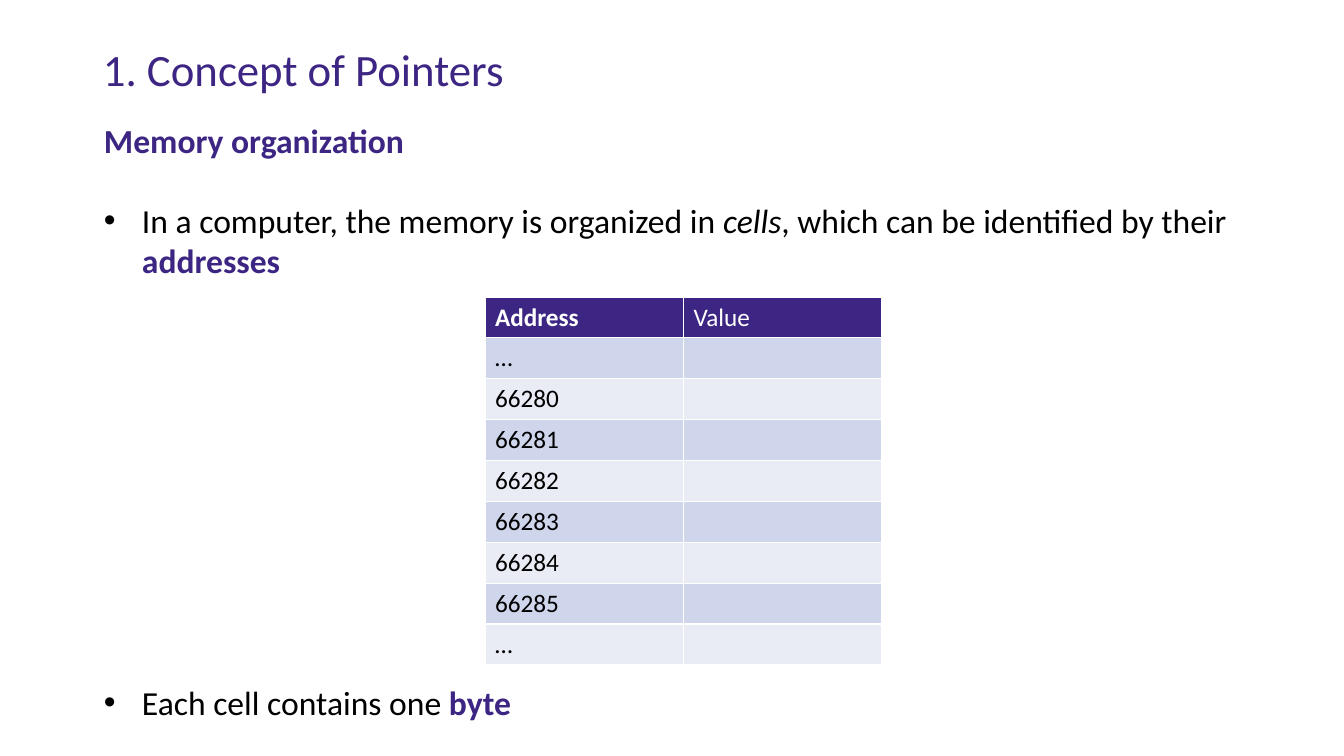
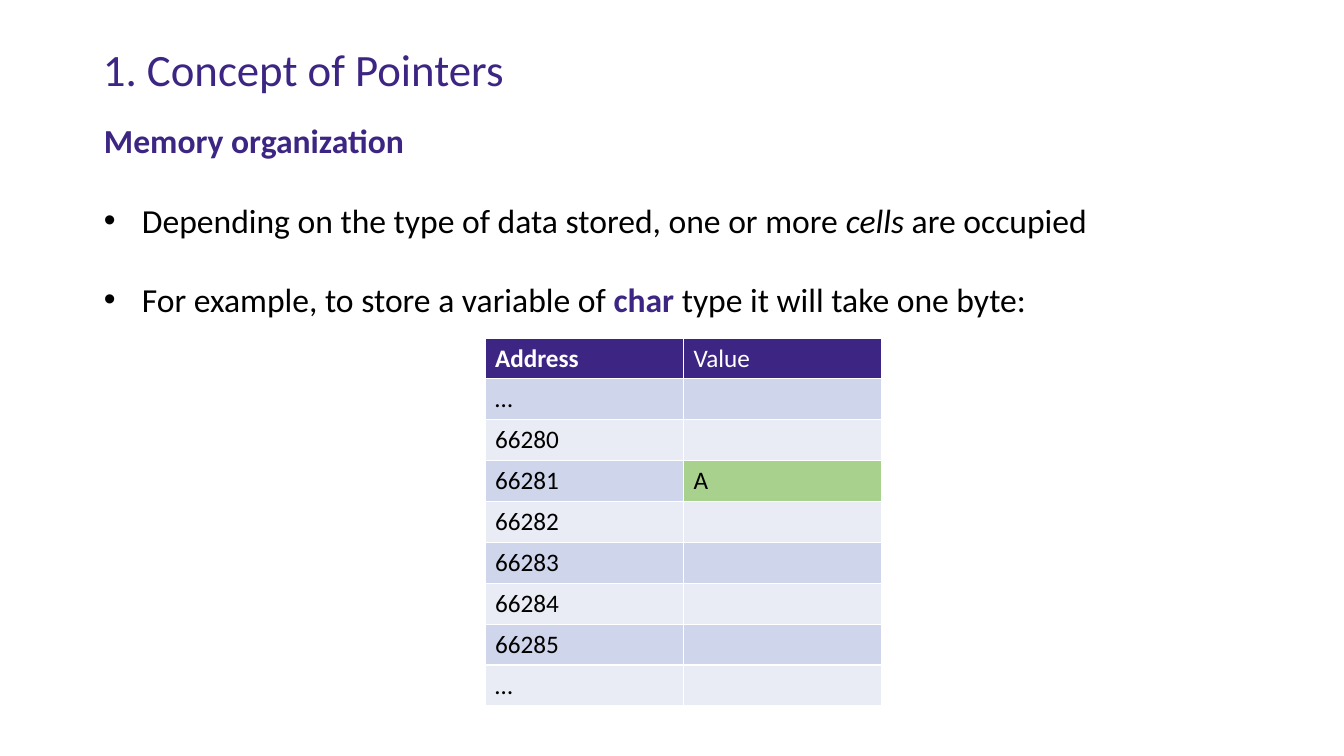
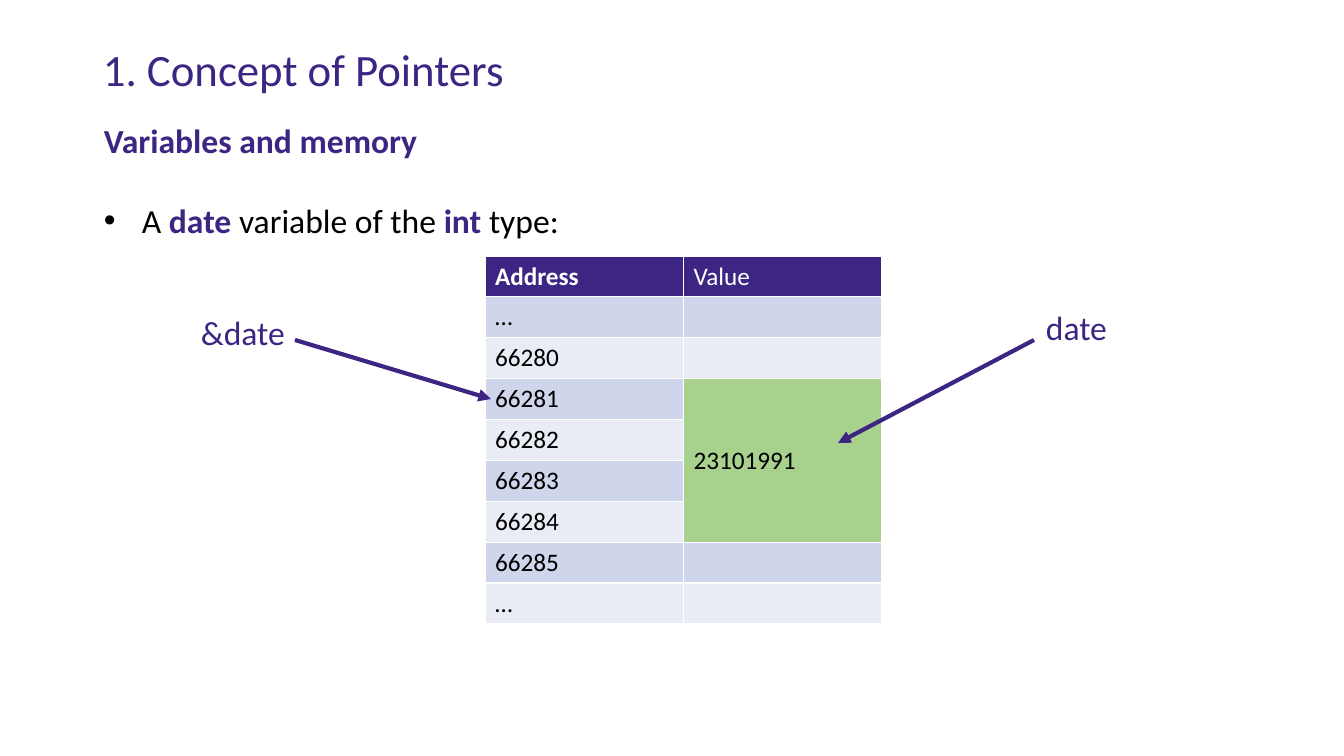
from lxml import etree
from pptx import Presentation
from pptx import util as u
from pptx.dml.color import RGBColor
from pptx.enum import shapes, text
from pptx.oxml.ns import qn

PX_PER_INCH = 100.8
FONT = "Calibri"
PURPLE, BLACK, WHITE, GREEN = "3D2683", "000000", "FFFFFF", "A9D18E"
BANDS = ("CFD5EA", "E9EBF5")
PLAIN, ITALIC, KEY = "plain", "italic", "key"
ADDRESSES = ["…", *(str(n) for n in range(66280, 66286)), "…"]
LINE_GAP = 28


def px(n):
    return u.Emu(round(n * u.Inches(1) / PX_PER_INCH))


def rgb(value):
    return RGBColor.from_string(value)


def style_run(r, size, color, bold=False, italic=False):
    f = r.font
    f.name, f.size, f.bold, f.italic = FONT, u.Pt(size), bold, italic
    f.color.rgb = rgb(color)


def add_text(s, x, y, w, h, wording, size, bold=False, wrap=True):
    tf = s.shapes.add_textbox(px(x), px(y), px(w), px(h)).text_frame
    tf.word_wrap = wrap
    tf.text = wording
    style_run(tf.paragraphs[0].runs[0], size, PURPLE, bold)
    return tf


def add_title(s, wording):
    tf = add_text(s, 93, 40, 1159, 64, wording, 32)
    tf.vertical_anchor = text.MSO_ANCHOR.MIDDLE
    tf.paragraphs[0].line_spacing = 0.9


def add_bullet(tf, pieces, gap=LINE_GAP):
    """Append a bulleted paragraph of (wording, style) pieces, gap points below the last."""
    p = tf.add_paragraph()
    p.space_before = u.Pt(gap)
    pPr = p._p.get_or_add_pPr()
    pPr.set("marL", str(px(38)))
    pPr.set("indent", str(-px(38)))
    etree.SubElement(pPr, qn("a:buFont"), typeface="Arial")
    etree.SubElement(pPr, qn("a:buChar"), char="•")
    for wording, style in pieces:
        r = p.add_run()
        r.text = wording
        key = style == KEY
        style_run(r, 24, PURPLE if key else BLACK, key, style == ITALIC)


def fill_cell(cell, color, wording="", font_color=BLACK, bold=False):
    cell.fill.solid()
    cell.fill.fore_color.rgb = rgb(color)
    if wording:
        cell.text = wording
        style_run(cell.text_frame.paragraphs[0].runs[0], 18, font_color, bold)


def add_memory_table(s, y):
    rows = len(ADDRESSES) + 1
    table = s.shapes.add_table(rows, 2, px(485), px(y), px(397), px(368)).table
    fill_cell(table.cell(0, 0), PURPLE, "Address", WHITE, bold=True)
    fill_cell(table.cell(0, 1), PURPLE, "Value", WHITE)
    for i, address in enumerate(ADDRESSES):
        band = BANDS[i % 2]
        fill_cell(table.cell(i + 1, 0), band, address)
        fill_cell(table.cell(i + 1, 1), band)
    return table


def store_value(table, address, value, size=1):
    """Show a value that occupies size cells from the given address."""
    row = ADDRESSES.index(address) + 1
    cell = table.cell(row, 1)
    if size > 1:
        cell.merge(table.cell(row + size - 1, 1))
        cell.vertical_anchor = text.MSO_ANCHOR.MIDDLE
    fill_cell(cell, GREEN, value)


def add_arrow(s, x1, y1, x2, y2):
    c = s.shapes.add_connector(shapes.MSO_CONNECTOR.STRAIGHT,
                               px(x1), px(y1), px(x2), px(y2))
    c.line.color.rgb = rgb(PURPLE)
    c.line.width = u.Pt(3)
    etree.SubElement(c.line._get_or_add_ln(), qn("a:tailEnd"), type="triangle")
    etree.SubElement(c._element.spPr, qn("a:effectLst"))


def add_topic_slide(prs, heading, body_height):
    """Add a slide with the shared title and a heading; return it and its body text."""
    s = prs.slides.add_slide(prs.slide_layouts[6])
    add_title(s, "1. Concept of Pointers")
    return s, add_text(s, 94, 115, 1179, body_height, heading, 24, bold=True)


def build_cells_slide(prs):
    s, body = add_topic_slide(prs, "Memory organization", 621)
    add_bullet(body, [("In a computer, the memory is organized in ", PLAIN),
                      ("cells", ITALIC),
                      (", which can be identified by their ", PLAIN),
                      ("addresses", KEY)])
    add_bullet(body, [("Each cell contains one ", PLAIN), ("byte", KEY)], gap=287)
    add_memory_table(s, 297)


def build_char_slide(prs):
    s, body = add_topic_slide(prs, "Memory organization", 581)
    add_bullet(body, [("Depending on the type of data stored, one or more ", PLAIN),
                      ("cells", ITALIC), (" are occupied", PLAIN)])
    add_bullet(body, [("For example, to store a variable of ", PLAIN),
                      ("char", KEY), (" type it will take one byte:", PLAIN)])
    store_value(add_memory_table(s, 338), "66281", "A")


def build_int_slide(prs):
    s, body = add_topic_slide(prs, "Variables and memory", 499)
    add_bullet(body, [("A ", PLAIN), ("date", KEY), (" variable of the ", PLAIN),
                      ("int", KEY), (" type:", PLAIN)])
    store_value(add_memory_table(s, 256), "66281", "23101991", size=4)
    add_arrow(s, 1034, 340, 838, 443)
    add_text(s, 1036, 302, 82, 50, "date", 24, wrap=False)
    add_arrow(s, 295, 340, 491, 399)
    add_text(s, 191, 307, 105, 50, "&date", 24, wrap=False)


def main():
    prs = Presentation()
    prs.slide_width, prs.slide_height = px(1344), px(756)
    build_cells_slide(prs)
    build_char_slide(prs)
    build_int_slide(prs)
    prs.save("out.pptx")


if __name__ == "__main__":
    main()
